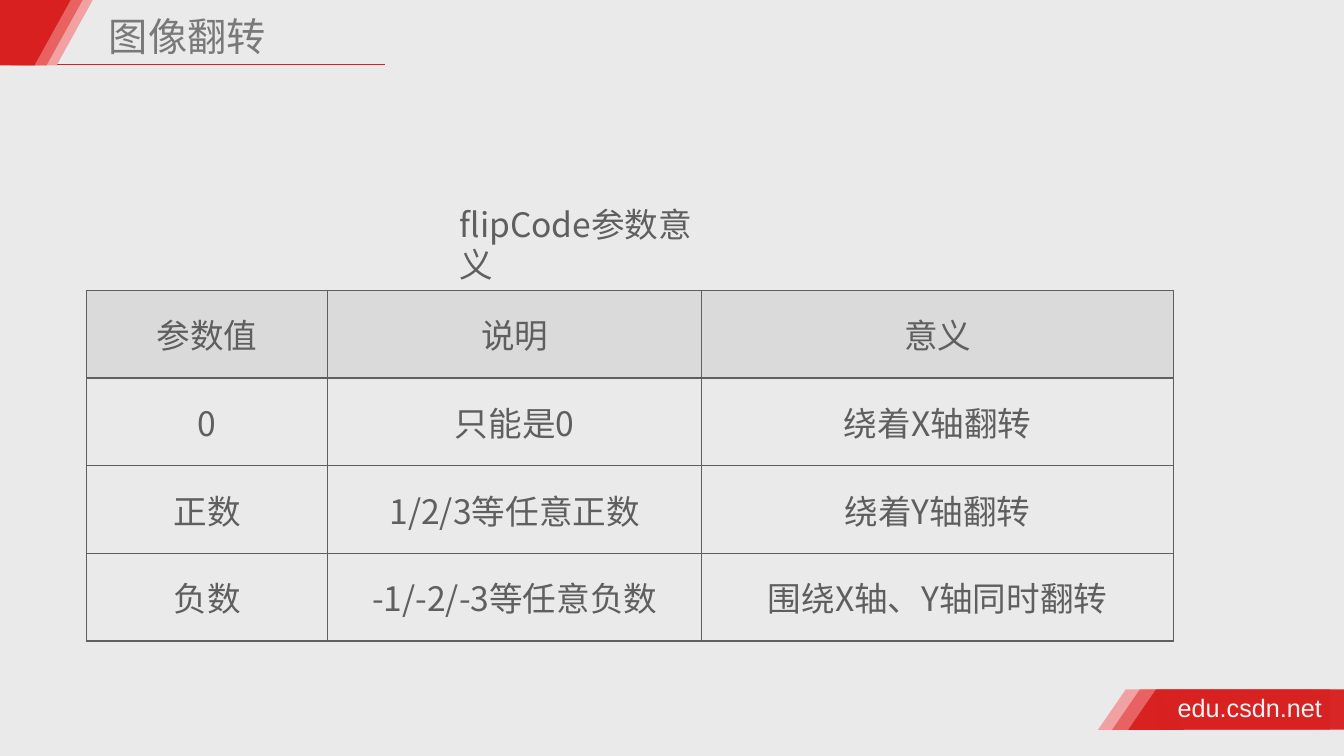
from dataclasses import dataclass

import pptx
import pptx.dml.color
import pptx.enum.shapes
import pptx.enum.text
import pptx.oxml.ns
import pptx.presentation
import pptx.slide
import pptx.util
from lxml import etree

EMU_PER_PX = 9144  # 100 px to the inch
SHAPES = pptx.enum.shapes.MSO_SHAPE
ALIGN = pptx.enum.text.PP_ALIGN
ANCHOR = pptx.enum.text.MSO_ANCHOR
qn = pptx.oxml.ns.qn


@dataclass(frozen=True)
class Theme:
    background: str = "EAEAEA"
    red: str = "D82020"
    mid_red: str = "E86262"
    pale_red: str = "F1A1A1"
    title: str = "797979"
    body: str = "5F5F5F"
    header_fill: str = "DADADA"
    site: str = "F2F2F2"
    cjk_font: str = "Noto Sans CJK SC"
    latin_font: str = "Arial"
    title_size: int = 28
    body_size: int = 24
    site_size: int = 18
    line_width: int = 1


THEME = Theme()


@dataclass(frozen=True)
class Box:
    left: int
    top: int
    width: int
    height: int

    def emu(self) -> tuple[int, ...]:
        return tuple(px(v) for v in (self.left, self.top, self.width, self.height))


@dataclass(frozen=True)
class Band:
    """A slanted band: a triangle whose apex meets a rectangle's edge."""
    triangle: Box
    rectangle: Box
    color: str
    rotation: int = 0
    opacity: int = 100


def px(value: int) -> int:
    return pptx.util.Emu(value * EMU_PER_PX)


def rgb(color: str) -> pptx.dml.color.RGBColor:
    return pptx.dml.color.RGBColor.from_string(color)


def write(frame, text: str, *, size: int = THEME.body_size, color: str = THEME.body,
          font: str = THEME.cjk_font, align=ALIGN.LEFT, spacing: float = 1.0) -> None:
    paragraph = frame.paragraphs[0]
    paragraph.alignment = align
    paragraph.line_spacing = spacing
    run = paragraph.add_run()
    run.text = text
    run.font.size = pptx.util.Pt(size)
    run.font.color.rgb = rgb(color)
    run.font.name = font
    etree.SubElement(run._r.get_or_add_rPr(), qn("a:ea"), typeface=font)


def set_frame(frame, inset: int, wrap: bool) -> None:
    frame.word_wrap = wrap
    frame.auto_size = pptx.enum.text.MSO_AUTO_SIZE.NONE
    frame.vertical_anchor = ANCHOR.TOP
    frame.margin_left = frame.margin_right = px(inset)
    frame.margin_top = frame.margin_bottom = px(5)


def draw_band(slide: pptx.slide.Slide, band: Band) -> None:
    for kind, box, rotation in ((SHAPES.RECTANGLE, band.rectangle, 0),
                                (SHAPES.ISOSCELES_TRIANGLE, band.triangle, band.rotation)):
        shape = slide.shapes.add_shape(kind, *box.emu())
        shape.rotation = rotation
        shape.shadow.inherit = False
        shape.fill.solid()
        shape.fill.fore_color.rgb = rgb(band.color)
        shape.line.fill.background()
        if band.opacity < 100:
            fill_color = shape._element.spPr.find(".//" + qn("a:srgbClr"))
            etree.SubElement(fill_color, qn("a:alpha"), val=str(band.opacity * 1000))


def draw_title_rule(slide: pptx.slide.Slide) -> None:
    rule = slide.shapes.add_connector(pptx.enum.shapes.MSO_CONNECTOR.STRAIGHT,
                                      px(49), px(64), px(382), px(64))
    rule.line.color.rgb = rgb(THEME.red)
    rule.line.width = pptx.util.Pt(THEME.line_width)
    etree.SubElement(rule._element.spPr, qn("a:effectLst"))


def draw_title(slide: pptx.slide.Slide, text: str) -> None:
    title = slide.shapes.title
    title.left, title.top, title.width, title.height = Box(103, 12, 436, 53).emu()
    set_frame(title.text_frame, 5, True)
    write(title.text_frame, text, size=THEME.title_size, color=THEME.title, spacing=0.9)


def add_text(slide: pptx.slide.Slide, box: Box, text: str, *, inset: int,
             wrap: bool, **text_format) -> None:
    frame = slide.shapes.add_textbox(*box.emu()).text_frame
    set_frame(frame, inset, wrap)
    write(frame, text, **text_format)


def draw_borders(cell) -> None:
    properties = cell._tc.get_or_add_tcPr()
    for side in ("lnL", "lnR", "lnT", "lnB"):
        line = etree.SubElement(properties, qn(f"a:{side}"),
                                w=str(pptx.util.Pt(THEME.line_width)))
        fill = etree.SubElement(line, qn("a:solidFill"))
        etree.SubElement(fill, qn("a:srgbClr"), val=THEME.body)


def draw_table(slide: pptx.slide.Slide, rows: list[tuple[str, ...]],
               widths: tuple[int, ...], row_height: int) -> None:
    box = Box(86, 288, sum(widths), row_height * len(rows))
    table = slide.shapes.add_table(len(rows), len(widths), *box.emu()).table
    table.first_row = table.horz_banding = False
    for column, width in zip(table.columns, widths):
        column.width = px(width)
    for r, texts in enumerate(rows):
        for c, text in enumerate(texts):
            cell = table.cell(r, c)
            cell.vertical_anchor = ANCHOR.MIDDLE
            cell.margin_left = cell.margin_right = px(7)
            cell.margin_top = cell.margin_bottom = 0
            draw_borders(cell)
            if r == 0:
                cell.fill.solid()
                cell.fill.fore_color.rgb = rgb(THEME.header_fill)
            else:
                cell.fill.background()
            write(cell.text_frame, text, align=ALIGN.CENTER)


FLIP_CODES = [
    ("参数值", "说明", "意义"),
    ("0", "只能是0", "绕着X轴翻转"),
    ("正数", "1/2/3等任意正数", "绕着Y轴翻转"),
    ("负数", "-1/-2/-3等任意负数", "围绕X轴、Y轴同时翻转"),
]
REDS = (THEME.pale_red, THEME.mid_red, THEME.red)
FOOTER_BANDS = [
    Band(Box(left, 684, 55, 40), Box(left + 28, 684, 188, 40), color, opacity=opacity)
    for left, color, opacity in zip((1089, 1103, 1119), REDS, (100, 100, 97))
]
HEADER_BANDS = [
    Band(Box(left, 0, 72, 65), Box(left + 1, 0, 35, 65), color, rotation=180)
    for left, color in zip((20, 10, -2), REDS)
]


def main() -> None:
    deck = pptx.Presentation()
    deck.slide_width, deck.slide_height = px(1333), px(750)
    slide = deck.slides.add_slide(deck.slide_layouts.get_by_name("Title Only"))
    slide.background.fill.solid()
    slide.background.fill.fore_color.rgb = rgb(THEME.background)

    draw_title_rule(slide)
    for band in FOOTER_BANDS + HEADER_BANDS:
        draw_band(slide, band)
    add_text(slide, Box(1163, 682, 155, 40), "edu.csdn.net", inset=5, wrap=False,
             size=THEME.site_size, color=THEME.site, font=THEME.latin_font)
    draw_title(slide, "图像翻转")
    draw_table(slide, FLIP_CODES, widths=(239, 371, 468), row_height=87)
    add_text(slide, Box(446, 197, 280, 50), "flipCode参数意义", inset=10, wrap=True)
    deck.save("out.pptx")


if __name__ == "__main__":
    main()
